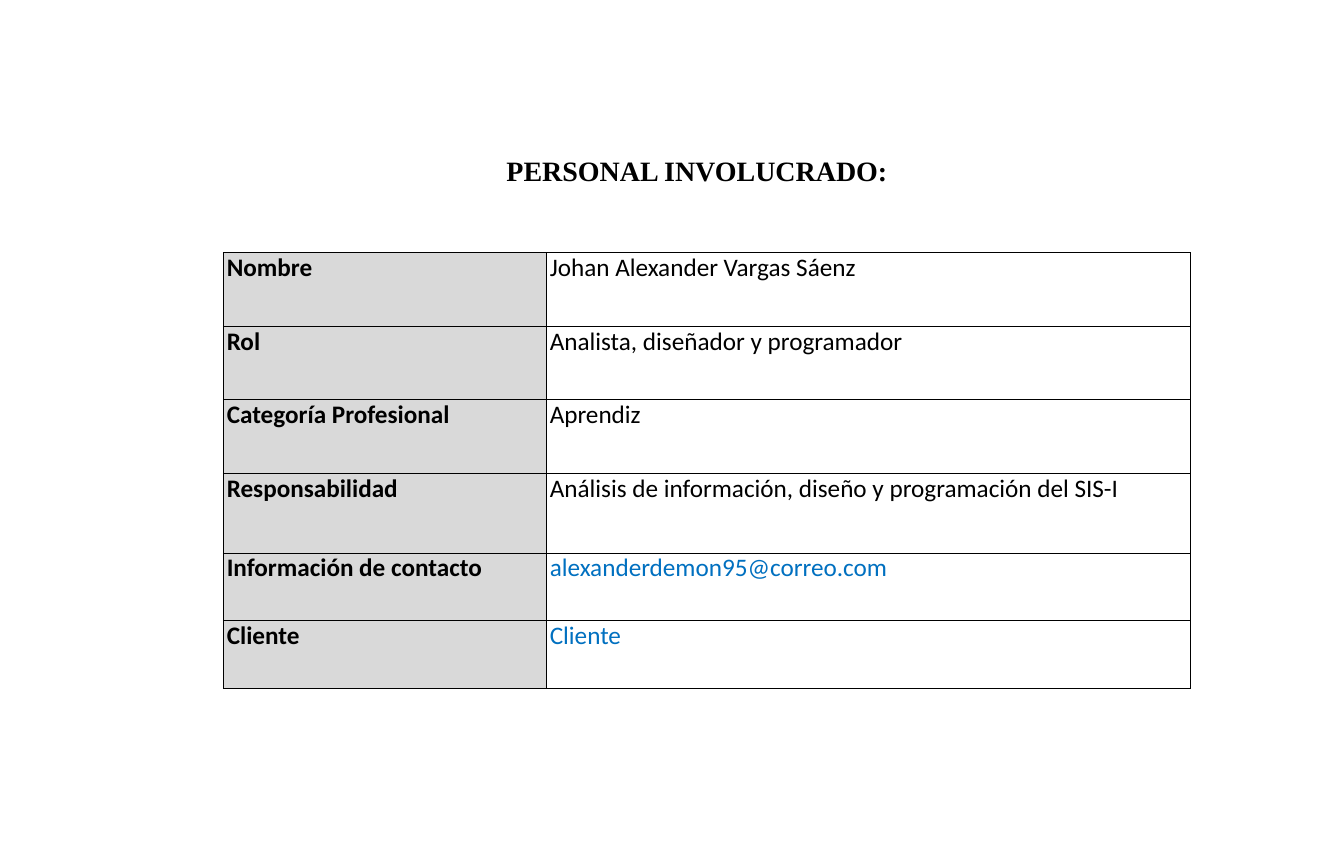
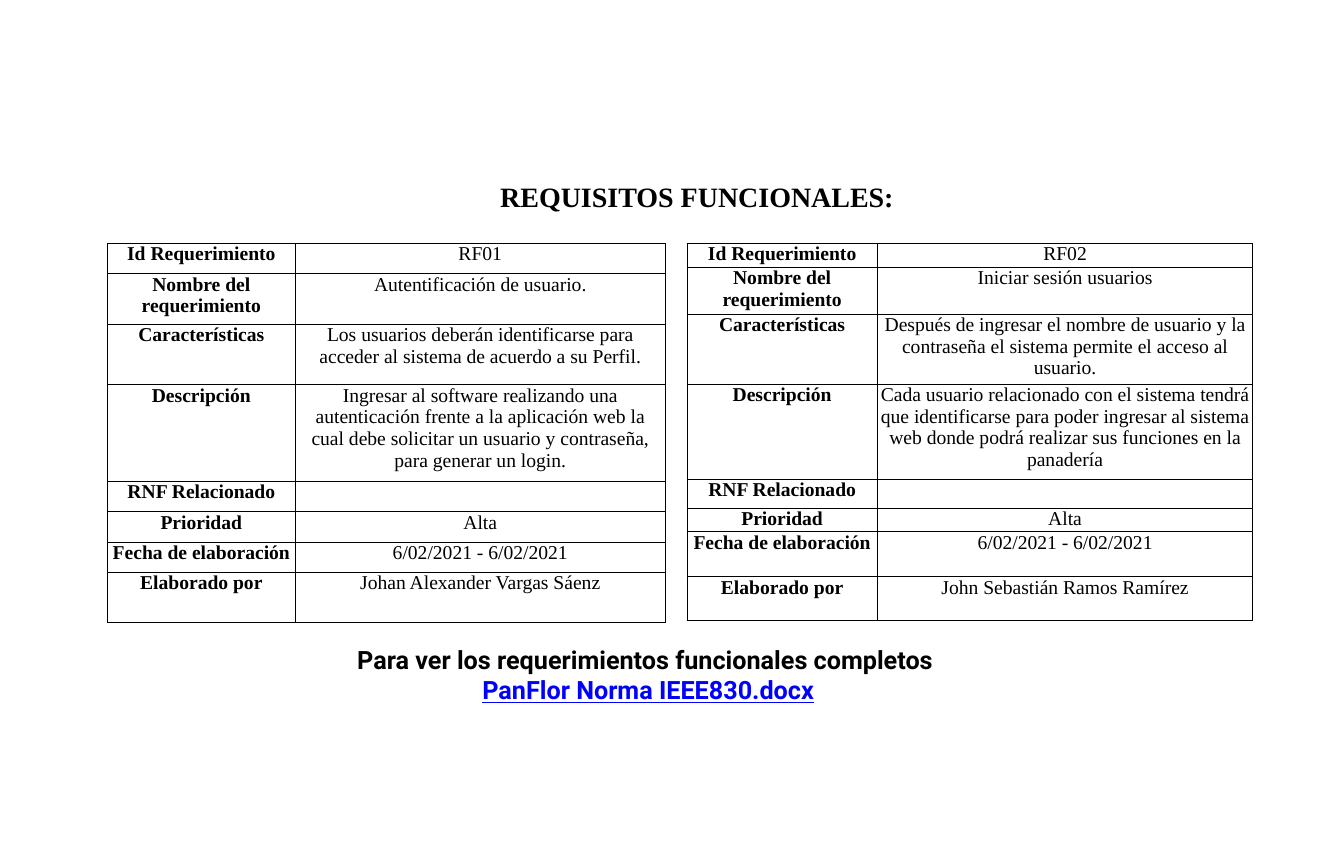
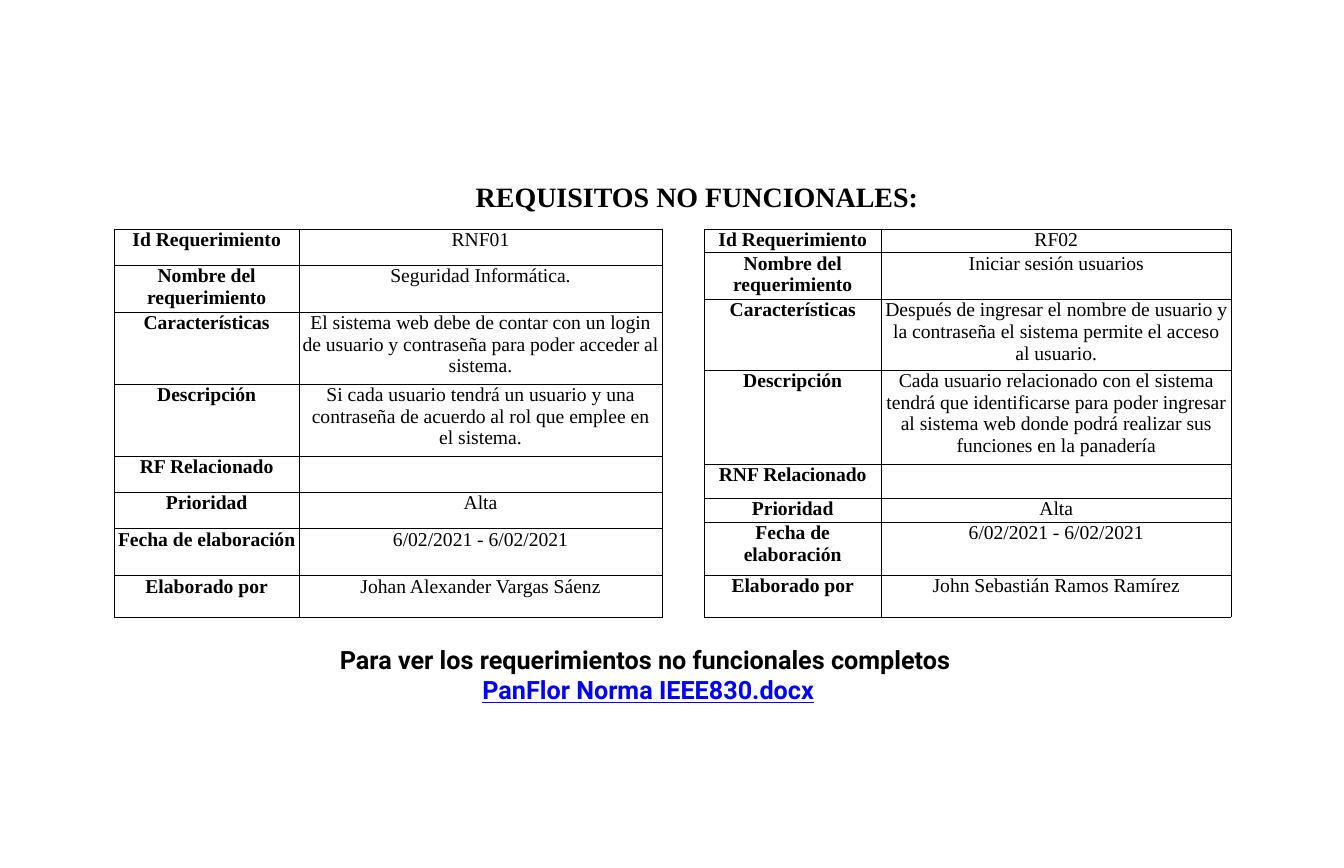
import pptx
import pptx.util
import pptx.dml.color
import pptx.enum.text
import pptx.oxml

Inches = pptx.util.Inches
Pt = pptx.util.Pt
CENTER = pptx.enum.text.PP_ALIGN.CENTER
LEFT = pptx.enum.text.PP_ALIGN.LEFT

BLACK = "000000"
LABEL_GREY = "D9D9D9"
CONTACT_BLUE = "0070C0"
LINK_BLUE = "0000FF"
SERIF = "Times New Roman"
DRAWING_NS = "http://schemas.openxmlformats.org/drawingml/2006/main"

TITLE_LEFT, TITLE_WIDTH, TITLE_HEIGHT = 5.33, 17, 2.04
FOOTER_BOX = (3.4, 12.7, 18.93, 1.37)
DOCUMENT = "PanFlor Norma IEEE830.docx"

STAFF = [
    ("Nombre", "Johan Alexander Vargas Sáenz", BLACK),
    ("Rol", "Analista, diseñador y programador", BLACK),
    ("Categoría Profesional", "Aprendiz", BLACK),
    ("Responsabilidad", "Análisis de información, diseño y programación del SIS-I", BLACK),
    ("Información de contacto", "alexanderdemon95@correo.com", CONTACT_BLUE),
    ("Cliente", "Cliente", CONTACT_BLUE),
]

AUTHENTICATION = [
    "RF01",
    "Autentificación de usuario.",
    "Los usuarios deberán identificarse para acceder al sistema de acuerdo a su Perfil.",
    "Ingresar al software realizando una autenticación frente a la aplicación web la cual "
    "debe solicitar un usuario y contraseña, para generar un login.",
    "Johan Alexander Vargas Sáenz",
]
LOGIN = [
    "RF02",
    "Iniciar sesión usuarios",
    "Después de ingresar el nombre de usuario y la contraseña el sistema permite el acceso "
    "al usuario.",
    "Cada usuario relacionado con el sistema tendrá que identificarse para poder ingresar al "
    "sistema web donde podrá realizar sus funciones en la panadería",
    "John Sebastián Ramos Ramírez",
]
SECURITY = [
    "RNF01",
    "Seguridad Informática.",
    "El sistema web debe de contar con un login de usuario y contraseña para poder acceder "
    "al sistema.",
    "Si cada usuario tendrá un usuario y una contraseña de acuerdo al rol que emplee en el "
    "sistema.",
    "Johan Alexander Vargas Sáenz",
]


def rgb(value):
    return pptx.dml.color.RGBColor.from_string(value)


def add_run(paragraph, text, size, font, color=BLACK, bold=False, underline=False):
    run = paragraph.add_run()
    run.text = text
    run.font.size = Pt(size)
    run.font.name = font
    run.font.bold = bold
    run.font.underline = underline
    run.font.color.rgb = rgb(color)


def set_margins(frame, side, top):
    frame.margin_left = frame.margin_right = Inches(side)
    frame.margin_top = frame.margin_bottom = Inches(top)


def add_titled_slide(deck, text, top):
    slide = deck.slides.add_slide(deck.slide_layouts[5])
    title = slide.shapes.title
    title.left, title.top = Inches(TITLE_LEFT), Inches(top)
    title.width, title.height = Inches(TITLE_WIDTH), Inches(TITLE_HEIGHT)
    frame = title.text_frame
    frame.word_wrap = True
    frame.auto_size = pptx.enum.text.MSO_AUTO_SIZE.NONE
    frame.vertical_anchor = pptx.enum.text.MSO_ANCHOR.TOP
    set_margins(frame, 0.08, 0.15)
    paragraph = frame.paragraphs[0]
    paragraph.alignment = CENTER
    add_run(paragraph, text, 40, SERIF, bold=True)
    return slide


def draw_borders(cell):
    properties = cell._tc.get_or_add_tcPr()
    for position, side in enumerate(("lnL", "lnR", "lnT", "lnB")):
        border = pptx.oxml.parse_xml(
            f'<a:{side} xmlns:a="{DRAWING_NS}" w="12700"><a:solidFill>'
            f'<a:srgbClr val="{BLACK}"/></a:solidFill></a:{side}>'
        )
        properties.insert(position, border)


def add_field_table(slide, left, top, widths, heights, fields, size, font, alignment,
                    label_fill=None):
    table = slide.shapes.add_table(
        len(fields), 2, Inches(left), Inches(top), Inches(sum(widths)), Inches(sum(heights))
    ).table
    table.first_row = table.horz_banding = False
    for column, width in zip(table.columns, widths):
        column.width = Inches(width)
    for row, height, (label, value, value_color) in zip(table.rows, heights, fields):
        row.height = Inches(height)
        label_cell, value_cell = row.cells
        for cell, text, color, bold, fill in (
            (label_cell, label, BLACK, True, label_fill),
            (value_cell, value, value_color, False, None),
        ):
            set_margins(cell, 0.07, 0)
            if fill:
                cell.fill.solid()
                cell.fill.fore_color.rgb = rgb(fill)
            else:
                cell.fill.background()
            draw_borders(cell)
            if text:
                paragraph = cell.text_frame.paragraphs[0]
                paragraph.alignment = alignment
                add_run(paragraph, text, size, font, color, bold)


def add_requirement(slide, left, top, widths, heights, requirement, related="RNF"):
    identifier, name, features, description, author = requirement
    fields = [
        ("Id Requerimiento", identifier, BLACK),
        ("Nombre del requerimiento", name, BLACK),
        ("Características", features, BLACK),
        ("Descripción", description, BLACK),
        (f"{related} Relacionado", "", BLACK),
        ("Prioridad", "Alta", BLACK),
        ("Fecha de elaboración", "6/02/2021 - 6/02/2021", BLACK),
        ("Elaborado por", author, BLACK),
    ]
    add_field_table(slide, left, top, widths, heights, fields, 28, SERIF, CENTER)


def add_document_footer(slide, kind):
    footer = slide.shapes.add_textbox(*map(Inches, FOOTER_BOX))
    frame = footer.text_frame
    frame.word_wrap = True
    frame.vertical_anchor = pptx.enum.text.MSO_ANCHOR.MIDDLE
    set_margins(frame, 0.08, 0.08)
    invitation, document = frame.paragraphs[0], frame.add_paragraph()
    invitation.alignment = document.alignment = CENTER
    add_run(invitation, f"Para ver los requerimientos {kind} completos ", 36, "Roboto", bold=True)
    add_run(document, DOCUMENT, 36, "Roboto", LINK_BLUE, bold=True, underline=True)


def build_staff(deck):
    slide = add_titled_slide(deck, "PERSONAL INVOLUCRADO:", 2.9)
    add_field_table(slide, 4.43, 5.01, (6.41, 12.79), (1.46, 1.46, 1.46, 1.58, 1.34, 1.34),
                    STAFF, 36, "Calibri", LEFT, LABEL_GREY)


def build_functional(deck):
    slide = add_titled_slide(deck, "REQUISITOS FUNCIONALES:", 3.41)
    add_requirement(slide, 2.13, 4.83, (3.73, 7.34),
                    (0.6, 1, 1.2, 1.92, 0.6, 0.6, 0.6, 1), AUTHENTICATION)
    add_requirement(slide, 13.63, 4.83, (3.78, 7.45),
                    (0.47, 0.93, 1.39, 1.88, 0.58, 0.47, 0.89, 0.87), LOGIN)
    add_document_footer(slide, "funcionales")


def build_non_functional(deck):
    slide = add_titled_slide(deck, "REQUISITOS NO FUNCIONALES:", 3.41)
    add_requirement(slide, 2.27, 4.54, (3.66, 7.21),
                    (0.72, 0.93, 1.43, 1.43, 0.72, 0.72, 0.93, 0.83), SECURITY, "RF")
    add_requirement(slide, 13.97, 4.54, (3.52, 6.94),
                    (0.47, 0.93, 1.4, 1.87, 0.68, 0.47, 1.05, 0.83), LOGIN)
    add_document_footer(slide, "no funcionales")


def main():
    deck = pptx.Presentation()
    deck.slide_width, deck.slide_height = Inches(26.67), Inches(17.22)
    build_staff(deck)
    build_functional(deck)
    build_non_functional(deck)
    deck.save("out.pptx")


if __name__ == "__main__":
    main()
